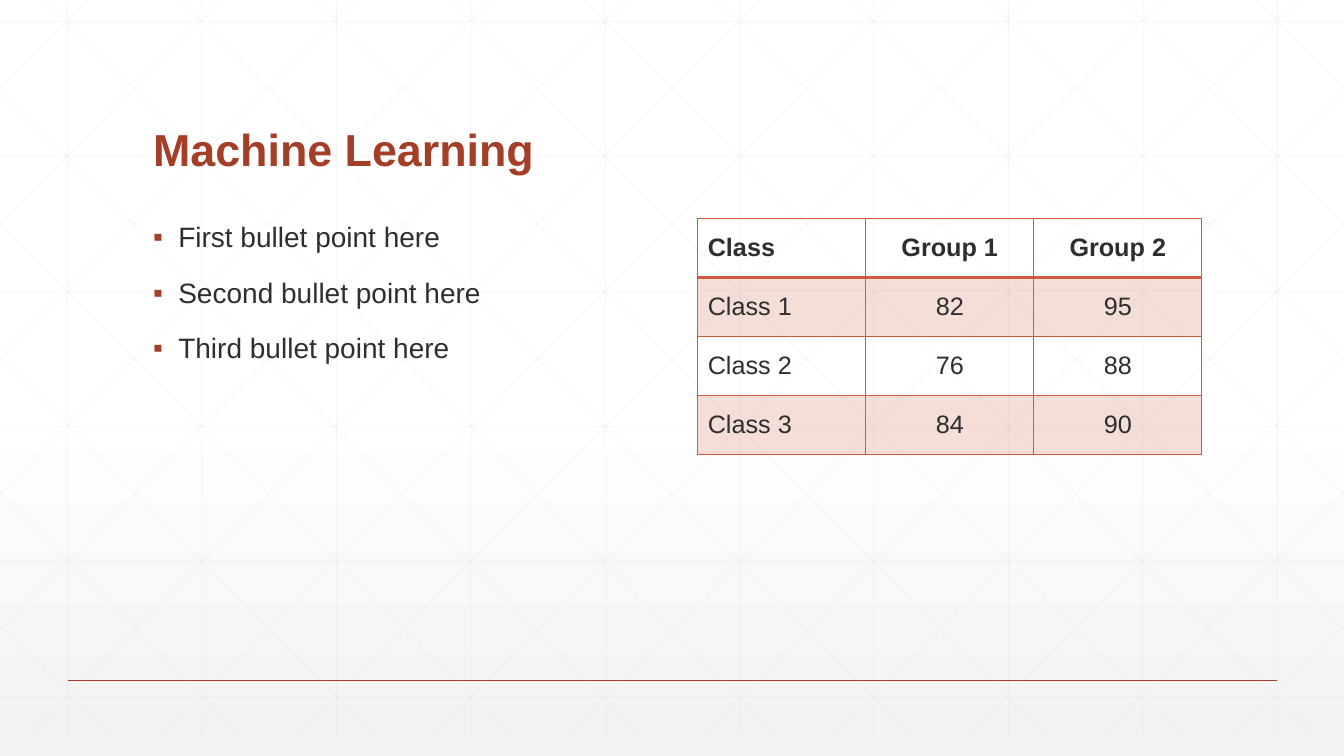
"""Builds a slide with a title, three bullets and a score table over a lattice background."""
from copy import deepcopy
from dataclasses import dataclass

from lxml import etree
from pptx import Presentation
from pptx.dml.color import RGBColor
from pptx.enum.shapes import MSO_CONNECTOR
from pptx.enum.text import MSO_ANCHOR, PP_ALIGN
from pptx.oxml.ns import qn
from pptx.util import Inches, Pt

STRAIGHT = MSO_CONNECTOR.STRAIGHT
BOTTOM, MIDDLE, TOP = MSO_ANCHOR.BOTTOM, MSO_ANCHOR.MIDDLE, MSO_ANCHOR.TOP
LEFT, CENTER = PP_ALIGN.LEFT, PP_ALIGN.CENTER

TITLE = "Machine Learning"
BULLETS = ["First bullet point here", "Second bullet point here", "Third bullet point here"]
SCORES = [
    ("Class", "Group 1", "Group 2"),
    ("Class 1", "82", "95"),
    ("Class 2", "76", "88"),
    ("Class 3", "84", "90"),
]


@dataclass(frozen=True)
class Theme:
    font: str = "Arial"
    title_size: int = 32
    bullet_size: int = 20
    table_size: int = 18
    rust: str = "A43F27"
    coral: str = "D15A3E"
    ink: str = "2D2E2D"
    lattice: str = "D9D9D9"
    lattice_alpha: int = 25
    band_alpha: int = 20
    backdrop: tuple = ((0, "FFFFFF"), (0.53, "FFFFFF"), (1, "F2F2F2"))


THEME = Theme()
WIDTH, HEIGHT = 13.33, 7.5
LATTICE_TOP, LATTICE_BOTTOM = -0.21, 7.29
PITCH_X, PITCH_Y = 4 / 3, 1.34
SLOPE = 7.5 / 7.45
TITLE_BOX = (1.42, 0.55, 10.5, 1.25)
BULLET_BOX = (1.42, 2.17, 5, 4.17)
TABLE_BOX = (6.92, 2.17, 5, 2.34)


def rgb(color):
    return RGBColor.from_string(color)


def set_alpha(element, percent):
    color = element.find(".//" + qn("a:srgbClr"))
    etree.SubElement(color, qn("a:alpha"), val=str(percent * 1000))


def add_line(slide, start, end, color, width, alpha=100):
    line = slide.shapes.add_connector(STRAIGHT, *(Inches(v) for v in (*start, *end)))
    line.line.color.rgb = rgb(color)
    line.line.width = Pt(width)
    properties = line._element.spPr
    if alpha < 100:
        set_alpha(properties, alpha)
    etree.SubElement(properties, qn("a:effectLst"))


def add_run(paragraph, text, size, color, bold=False):
    run = paragraph.add_run()
    run.text = text
    run.font.name = THEME.font
    run.font.size = Pt(size)
    run.font.bold = bold
    run.font.color.rgb = rgb(color)


def add_text_frame(slide, box, anchor):
    frame = slide.shapes.add_textbox(*(Inches(v) for v in box)).text_frame
    frame.word_wrap = True
    frame.vertical_anchor = anchor
    return frame


def paint_backdrop(slide):
    fill = slide.background.fill
    fill.gradient()
    fill.gradient_angle = 270
    stop_list = next(slide.element.iter(qn("a:gsLst")))
    stop_list.append(deepcopy(stop_list[-1]))
    for stop, (position, color) in zip(fill.gradient_stops, THEME.backdrop):
        stop.position = position
        stop.color.rgb = rgb(color)


def lattice_lines():
    for i in range(10):
        x = 0.67 + i * PITCH_X
        yield (x, LATTICE_TOP), (x, LATTICE_BOTTOM)
    for i in range(6):
        y = 0.21 + i * PITCH_Y
        yield (0, y), (WIDTH, y)
    starts = [(0.25 + i * PITCH_X, LATTICE_TOP) for i in range(10)]
    starts += [(0, 0.89 + i * 1.33) for i in range(5)]
    for x, y in starts:
        run = min(WIDTH - x, (LATTICE_BOTTOM - y) / SLOPE)
        end_x, end_y = x + run, y + run * SLOPE
        yield (x, y), (end_x, end_y)
        yield (WIDTH - x, y), (WIDTH - end_x, end_y)


def add_bullets(slide):
    frame = add_text_frame(slide, BULLET_BOX, TOP)
    for i, bullet in enumerate(BULLETS):
        paragraph = frame.add_paragraph() if i else frame.paragraphs[0]
        paragraph.line_spacing = 0.9
        paragraph.space_before = Pt(18)
        properties = paragraph._p.get_or_add_pPr()
        properties.set("marL", str(Inches(0.25)))
        properties.set("indent", str(Inches(-0.25)))
        marker_color = etree.SubElement(properties, qn("a:buClr"))
        etree.SubElement(marker_color, qn("a:srgbClr"), val=THEME.rust)
        etree.SubElement(properties, qn("a:buFont"), typeface=THEME.font)
        etree.SubElement(properties, qn("a:buChar"), char="▪")
        add_run(paragraph, bullet, THEME.bullet_size, THEME.ink)


def set_borders(cell, widths):
    properties = cell._tc.get_or_add_tcPr()
    for i, (side, width) in enumerate(widths.items()):
        border = etree.Element(qn("a:ln" + side), w=str(Pt(width)))
        fill = etree.SubElement(border, qn("a:solidFill"))
        etree.SubElement(fill, qn("a:srgbClr"), val=THEME.coral)
        properties.insert(i, border)


def add_scores(slide):
    rows, columns = len(SCORES), len(SCORES[0])
    table = slide.shapes.add_table(rows, columns, *(Inches(v) for v in TABLE_BOX)).table
    table.first_row = table.horz_banding = False
    for r, row in enumerate(SCORES):
        for c, value in enumerate(row):
            cell = table.cell(r, c)
            cell.vertical_anchor = MIDDLE
            if r % 2:
                cell.fill.solid()
                cell.fill.fore_color.rgb = rgb(THEME.coral)
                set_alpha(cell._tc.tcPr, THEME.band_alpha)
            else:
                cell.fill.background()
            set_borders(cell, {"L": 1, "R": 1, "T": 2 if r == 1 else 1, "B": 2 if r == 0 else 1})
            paragraph = cell.text_frame.paragraphs[0]
            paragraph.alignment = CENTER if c else LEFT
            add_run(paragraph, value, THEME.table_size, THEME.ink, bold=r == 0)


def main():
    deck = Presentation()
    deck.slide_width, deck.slide_height = Inches(WIDTH), Inches(HEIGHT)
    slide = deck.slides.add_slide(deck.slide_layouts[6])
    paint_backdrop(slide)
    for start, end in lattice_lines():
        add_line(slide, start, end, THEME.lattice, 0.5, THEME.lattice_alpha)
    add_line(slide, (0.67, 6.75), (12.67, 6.75), THEME.rust, 1)
    heading = add_text_frame(slide, TITLE_BOX, BOTTOM).paragraphs[0]
    heading.line_spacing = 0.9
    add_run(heading, TITLE, THEME.title_size, THEME.rust, bold=True)
    add_bullets(slide)
    add_scores(slide)
    deck.save("out.pptx")


if __name__ == "__main__":
    main()
